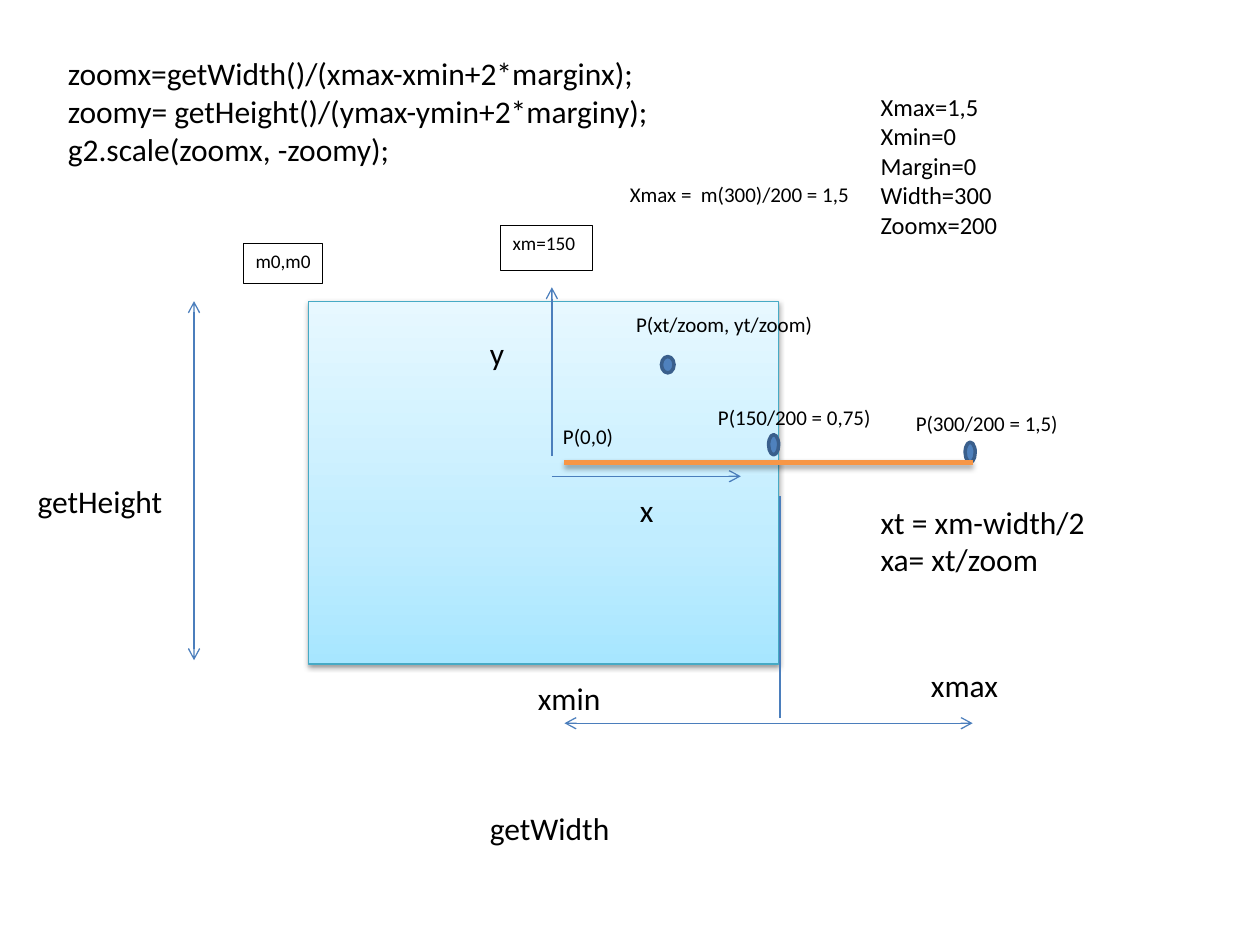
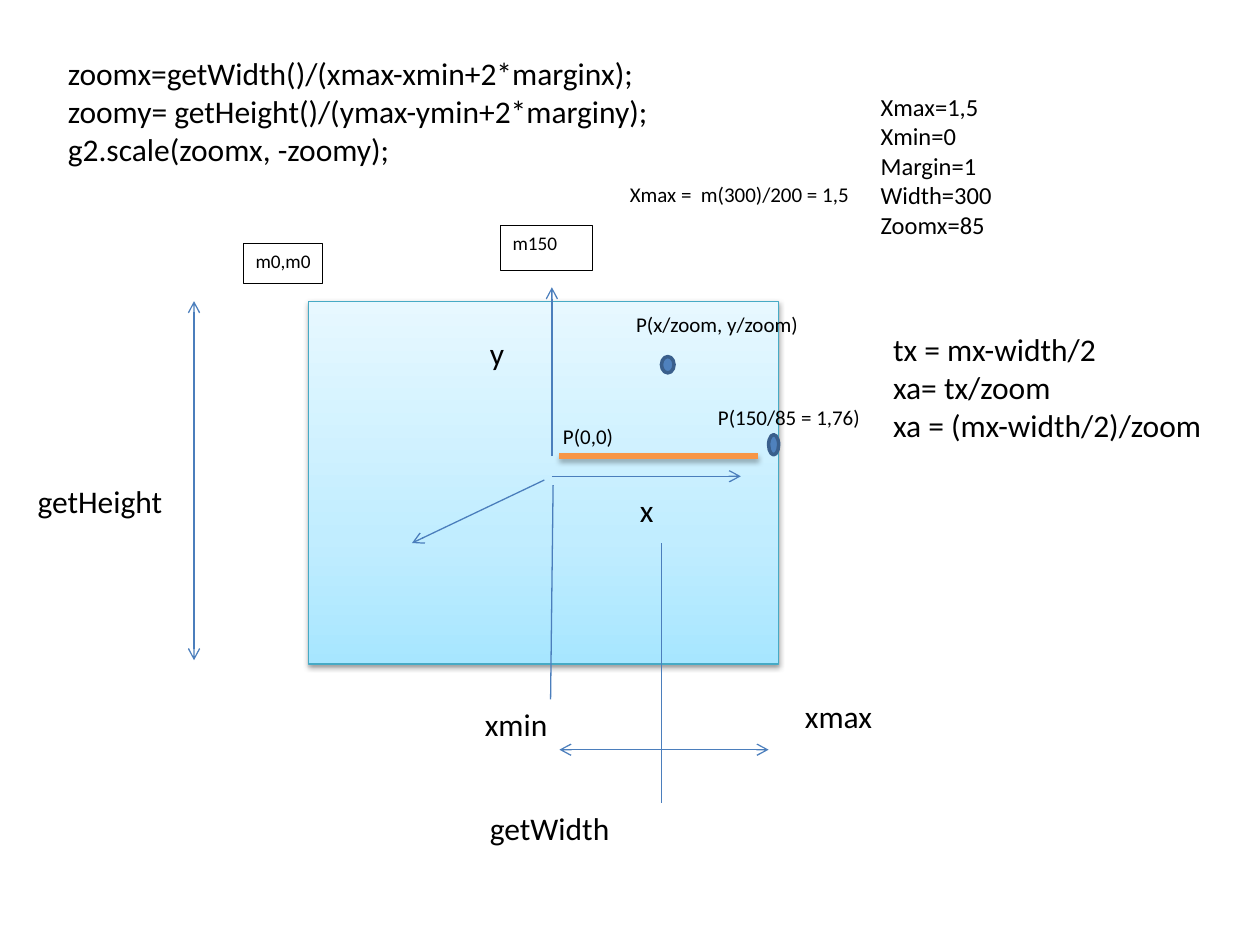
"""Build two slides that explain zooming from pixels to plane coordinates."""
from copy import deepcopy

from lxml.etree import SubElement
from pptx import Presentation
from pptx.dml.color import RGBColor
from pptx.enum.shapes import MSO_CONNECTOR as CONNECTOR, MSO_SHAPE as SHAPE
from pptx.enum.text import MSO_ANCHOR as ANCHOR, MSO_AUTO_SIZE as AUTO_SIZE, PP_ALIGN as ALIGN
from pptx.oxml.ns import qn
from pptx.util import Inches, Pt

BLACK = RGBColor(0x00, 0x00, 0x00)
WHITE = RGBColor(0xFF, 0xFF, 0xFF)
ORANGE = RGBColor(0xF7, 0x96, 0x46)
ARROW_BLUE = RGBColor(0x4B, 0x7E, 0xBC)
DOT_BLUE = RGBColor(0x4F, 0x81, 0xBD)
DOT_EDGE = RGBColor(0x3A, 0x5F, 0x8C)
SCREEN_EDGE = RGBColor(0x46, 0xAA, 0xC5)
SCREEN_STOPS = [
    (0, RGBColor(0xA7, 0xE6, 0xFF)),
    (0.35, RGBColor(0xC1, 0xED, 0xFF)),
    (1, RGBColor(0xE7, 0xF8, 0xFF)),
]
FONT = "Calibri"

SHARED_LABELS = [
    (4.98, 3.85, 0.31, 0.4, 18, ["x"]),
    (3.79, 2.6, 0.32, 0.4, 18, ["y"]),
    (3.79, 6.37, 1.16, 0.4, 18, ["getWidth"]),
    (0.2, 3.78, 1.2, 0.4, 18, ["getHeight"]),
    (0.44, 0.38, 7.47, 1.01, 18, [
        "zoomx=getWidth()/(xmax-xmin+2*marginx);",
        "zoomy= getHeight()/(ymax-ymin+2*marginy);",
        "g2.scale(zoomx, -zoomy);",
    ]),
    (4.9, 1.39, 1.96, 0.3, 12, ["Xmax =  m(300)/200 = 1,5"]),
    (4.37, 3.31, 0.66, 0.31, 12, ["P(0,0)"]),
]
SHARED_LINES = [
    (4.38, 3.78, 5.88, 3.78, ["tailEnd"]),
    (4.38, 3.62, 4.38, 2.28, ["tailEnd"]),
    (1.54, 2.39, 1.54, 5.24, ["headEnd", "tailEnd"]),
]
SHARED_DOTS = [(6.1, 3.45, 0.08, 0.16), (5.25, 2.83, 0.1, 0.13)]

PAGES = [
    {
        "middle": "xm=150",
        "labels": [
            (6.89, 0.68, 2.05, 1.88, 14,
             ["Xmax=1,5", "Xmin=0", "Margin=0", "Width=300", "Zoomx=200"]),
            (5.6, 3.16, 1.53, 0.3, 12, ["P(150/200 = 0,75)"]),
            (7.17, 3.21, 1.53, 0.3, 12, ["P(300/200 = 1,5)"]),
            (4.95, 2.42, 1.71, 0.3, 12, ["P(xt/zoom, yt/zoom)"]),
            (7.29, 5.24, 0.74, 0.4, 18, ["xmax"]),
            (4.17, 5.34, 0.7, 0.4, 18, ["xmin"]),
            (6.89, 3.94, 2.91, 0.71, 18, ["xt = xm-width/2", "xa= xt/zoom"]),
        ],
        "lines": [
            (4.48, 5.74, 7.72, 5.74, ["headEnd", "tailEnd"]),
            (6.19, 5.7, 6.19, 3.94, []),
        ],
        "dots": [(7.66, 3.51, 0.08, 0.16)],
        "range": (4.48, 7.72, 3.67),
    },
    {
        "middle": "m150",
        "labels": [
            (6.89, 0.68, 2.05, 1.88, 14,
             ["Xmax=1,5", "Xmin=0", "Margin=1", "Width=300", "Zoomx=85"]),
            (5.6, 3.16, 1.53, 0.3, 12, ["P(150/85 = 1,76)"]),
            (4.95, 2.42, 1.71, 0.3, 12, ["P(x/zoom, y/zoom)"]),
            (6.29, 5.48, 0.74, 0.4, 18, ["xmax"]),
            (3.75, 5.55, 0.7, 0.4, 18, ["xmin"]),
            (6.99, 2.57, 2.77, 1.31, 18,
             ["tx = mx-width/2", "xa= tx/zoom", "xa = (mx-width/2)/zoom"]),
        ],
        "lines": [
            (4.44, 5.95, 6.1, 5.95, ["headEnd", "tailEnd"]),
            (4.39, 3.85, 4.37, 5.55, []),
            (5.25, 4.31, 5.25, 6.37, []),
            (4.32, 3.81, 3.27, 4.31, ["tailEnd"]),
        ],
        "dots": [],
        "range": (4.44, 6.02, 3.62),
    },
]


def outline(shape, color, width, opacity=0, drop=0):
    shape.line.color.rgb = color
    shape.line.width = Pt(width)
    effects = SubElement(shape._element.spPr, qn("a:effectLst"))
    if opacity:
        shadow = SubElement(effects, qn("a:outerShdw"), blurRad=str(Pt(3.1)),
                            dist=str(Pt(drop)), dir="5400000", rotWithShape="0")
        tint = SubElement(shadow, qn("a:srgbClr"), val=str(BLACK))
        SubElement(tint, qn("a:alpha"), val=str(opacity * 1000))


def write(frame, lines, size, wrap):
    frame.word_wrap = wrap
    frame.vertical_anchor = ANCHOR.TOP
    frame.text = "\n".join(lines)
    for para in frame.paragraphs:
        para.alignment = ALIGN.LEFT
        para.font.name = FONT
        para.font.size = Pt(size)
        para.font.color.rgb = BLACK


deck = Presentation()
deck.slide_width, deck.slide_height = Inches(10), Inches(7.5)

for content in PAGES:
    page = deck.slides.add_slide(deck.slide_layouts[6])
    shapes = page.shapes

    screen = shapes.add_shape(SHAPE.RECTANGLE, Inches(2.45), Inches(2.39),
                              Inches(3.73), Inches(2.88))
    screen.fill.gradient()
    screen.fill.gradient_angle = 90
    stop_list = screen._element.spPr.find(".//" + qn("a:gsLst"))
    stop_list.append(deepcopy(stop_list[-1]))
    for stop, (position, color) in zip(screen.fill.gradient_stops, SCREEN_STOPS):
        stop.position = position
        stop.color.rgb = color
    outline(screen, SCREEN_EDGE, 0.75, opacity=38, drop=1.6)

    for left, top, width, height, text in [
        (1.93, 1.93, 0.63, 0.32, "m0,m0"),
        (3.97, 1.79, 0.73, 0.36, content["middle"]),
    ]:
        tag = shapes.add_shape(SHAPE.RECTANGLE, Inches(left), Inches(top),
                               Inches(width), Inches(height))
        tag.fill.solid()
        tag.fill.fore_color.rgb = WHITE
        outline(tag, BLACK, 0.5)
        write(tag.text_frame, [text], 11, False)

    for x1, y1, x2, y2, heads in SHARED_LINES + content["lines"]:
        line = shapes.add_connector(CONNECTOR.STRAIGHT, Inches(x1), Inches(y1),
                                    Inches(x2), Inches(y2))
        outline(line, ARROW_BLUE, 0.75)
        for head in heads:
            SubElement(line.line._get_or_add_ln(), qn("a:" + head), type="arrow")

    for left, top, width, height, size, lines in SHARED_LABELS + content["labels"]:
        box = shapes.add_textbox(Inches(left), Inches(top), Inches(width), Inches(height))
        write(box.text_frame, lines, size, width > 1.2 or size < 18)
        box.text_frame.auto_size = AUTO_SIZE.SHAPE_TO_FIT_TEXT

    for left, top, width, height in SHARED_DOTS + content["dots"]:
        dot = shapes.add_shape(SHAPE.OVAL, Inches(left), Inches(top),
                               Inches(width), Inches(height))
        dot.fill.solid()
        dot.fill.fore_color.rgb = DOT_BLUE
        outline(dot, DOT_EDGE, 2)

    start, end, level = content["range"]
    bar = shapes.add_connector(CONNECTOR.STRAIGHT, Inches(start), Inches(level),
                               Inches(end), Inches(level))
    outline(bar, ORANGE, 3, opacity=35, drop=1.8)

deck.save("out.pptx")
